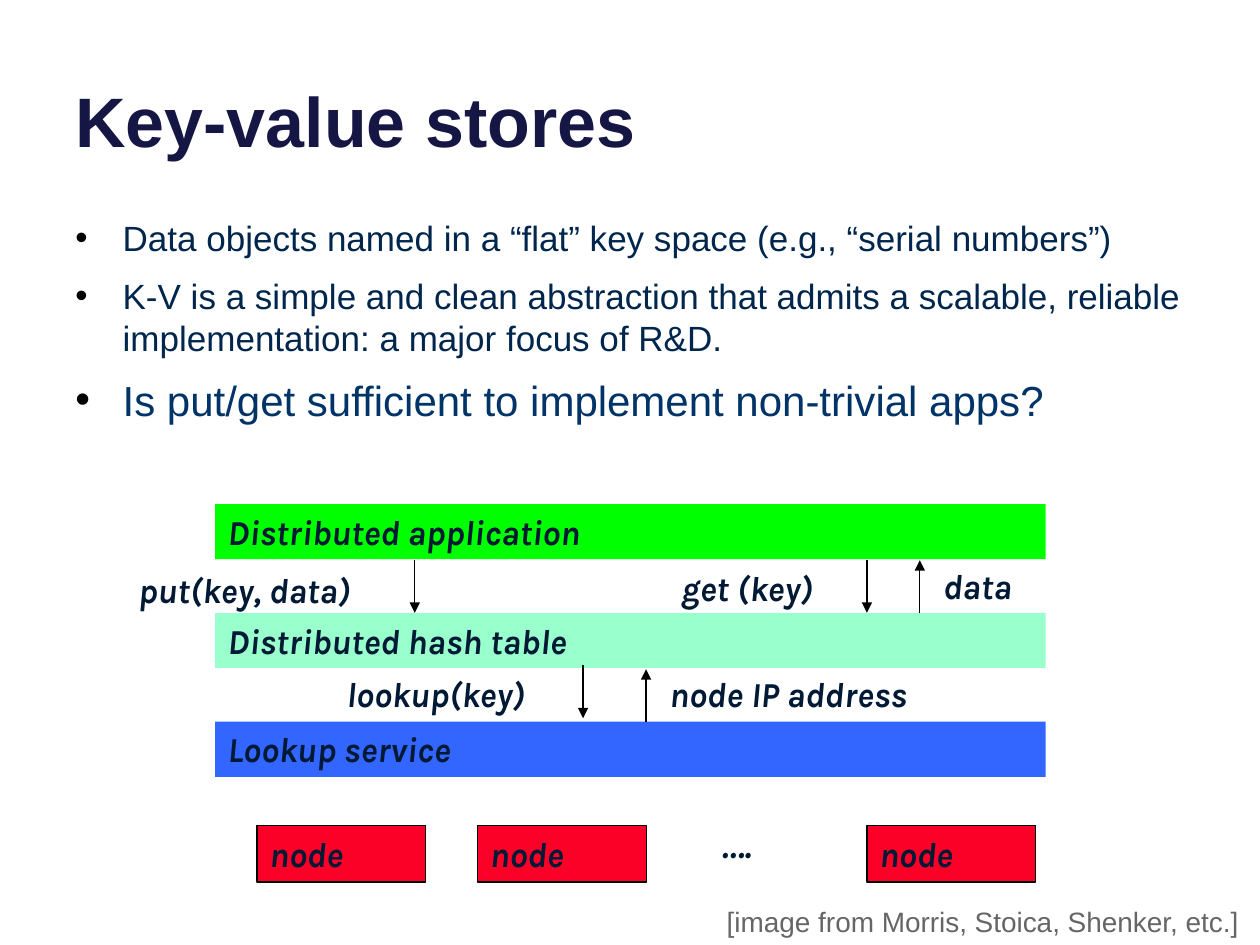
import pptx
import pptx.dml.color
import pptx.enum.shapes
import pptx.enum.text
import pptx.oxml
import pptx.oxml.ns
import pptx.util
from dataclasses import dataclass

Pt = pptx.util.Pt
RGB = pptx.dml.color.RGBColor.from_string
SHAPE = pptx.enum.shapes.MSO_SHAPE
ANCHOR = pptx.enum.text.MSO_ANCHOR
TOP, MIDDLE, BOTTOM = ANCHOR.TOP, ANCHOR.MIDDLE, ANCHOR.BOTTOM


@dataclass(frozen=True)
class Font:
    size: float
    color: str
    name: str = "Arial"
    bold: bool = False
    italic: bool = False


class Theme:
    title = Font(40, "161645", bold=True)
    body = Font(20, "00264D")
    question = Font(24, "003367")
    label = Font(20, "001934", "Karla", True, True)
    credit = Font(16, "666666")
    line = "000000"
    node = "FC0128"
    application, hash_table, lookup = "00FF00", "99FFCC", "3366FF"


def add_xml(parent, tag, **attrs):
    el = pptx.oxml.parse_xml(f"<{tag} {pptx.oxml.ns.nsdecls('a')}/>")
    for key, value in attrs.items():
        el.set(key, value)
    parent.append(el)
    return el


class Deck:
    def __init__(self, theme, width, height):
        self.theme = theme
        self.prs = pptx.Presentation()
        self.prs.slide_width, self.prs.slide_height = Pt(width), Pt(height)
        self.s = self.prs.slides.add_slide(self.prs.slide_layouts[6])

    def run(self, p, text, font):
        r = p.add_run()
        r.text = text
        r.font.name, r.font.size = font.name, Pt(font.size)
        r.font.bold, r.font.italic = font.bold, font.italic
        r.font.color.rgb = RGB(font.color)

    def frame(self, sp, anchor):
        tf = sp.text_frame
        tf.word_wrap = True
        tf.vertical_anchor = anchor
        tf.paragraphs[0].alignment = pptx.enum.text.PP_ALIGN.LEFT
        return tf

    def text(self, x, y, w, h, text, font, anchor=TOP):
        sp = self.s.shapes.add_textbox(Pt(x), Pt(y), Pt(w), Pt(h))
        self.run(self.frame(sp, anchor).paragraphs[0], text, font)

    def bullets(self, x, y, w, h, items, indent=27, gap=9):
        sp = self.s.shapes.add_textbox(Pt(x), Pt(y), Pt(w), Pt(h))
        tf = self.frame(sp, TOP)
        for i, (text, font) in enumerate(items):
            p = tf.add_paragraph() if i else tf.paragraphs[0]
            p.space_before = Pt(gap if i else 0)
            pPr = p._p.get_or_add_pPr()
            pPr.set("marL", str(Pt(indent)))
            pPr.set("indent", str(-Pt(indent)))
            add_xml(add_xml(pPr, "a:buClr"), "a:srgbClr", val=self.theme.line)
            add_xml(pPr, "a:buFont", typeface="Arial")
            add_xml(pPr, "a:buChar", char="•")
            self.run(p, text, font)

    def box(self, x, y, w, h, text, fill, outlined=False, anchor=TOP):
        sp = self.s.shapes.add_shape(SHAPE.RECTANGLE, Pt(x), Pt(y), Pt(w), Pt(h))
        sp.shadow.inherit = False
        sp.fill.solid()
        sp.fill.fore_color.rgb = RGB(fill)
        if outlined:
            sp.line.color.rgb = RGB(self.theme.line)
            sp.line.width = Pt(0.75)
        else:
            sp.line.fill.background()
        self.run(self.frame(sp, anchor).paragraphs[0], text, self.theme.label)

    def arrow(self, x, y_from, y_to):
        sp = self.s.shapes.add_connector(
            pptx.enum.shapes.MSO_CONNECTOR.STRAIGHT,
            Pt(x), Pt(y_from), Pt(x), Pt(y_to))
        sp.line.color.rgb = RGB(self.theme.line)
        sp.line.width = Pt(0.75)
        add_xml(sp.line._get_or_add_ln(), "a:tailEnd", type="triangle")
        add_xml(sp._element.spPr, "a:effectLst")


def main():
    t = Theme
    d = Deck(t, 720, 540)

    # Title and bullets
    d.text(36, -26.6, 648, 122.4, "Key-value stores", t.title, BOTTOM)
    d.bullets(36, 120.2, 648, 156.2, [
        ("Data objects named in a “flat” key space (e.g., “serial numbers”)", t.body),
        ("K-V is a simple and clean abstraction that admits a scalable, reliable "
         "implementation: a major focus of R&D.", t.body),
        ("Is put/get sufficient to implement non-trivial apps?", t.question),
    ])

    # Service layers
    layers = [("Distributed application", t.application),
              ("Distributed hash table", t.hash_table),
              ("Lookup service", t.lookup)]
    for i, (name, fill) in enumerate(layers):
        d.box(123, 288 + 62.2 * i, 474.5, 31.5, name, fill)

    # Calls and replies between the layers
    for x, y_from, y_to in [(237, 320.2, 350.2), (495.4, 320.2, 350.2),
                            (525.6, 350.2, 320.2), (333.2, 380.2, 410.4),
                            (369.2, 412.4, 382.4)]:
        d.arrow(x, y_from, y_to)
    for x, y, w, call in [(72, 321.2, 166.3, "put(key, data)"),
                          (382.3, 320.4, 113.8, "get (key)"),
                          (531.8, 319.2, 65.5, "data"),
                          (191, 381, 143.3, "lookup(key)"),
                          (375.5, 381, 184.3, "node IP address")]:
        d.text(x, y, w, 31.5, call, t.label)

    # Nodes
    for x in (146.9, 272.9, 495.4):
        d.box(x, 471.6, 96.5, 32.4, "node", t.node, outlined=True, anchor=MIDDLE)
    d.text(405.4, 466.6, 41, 31.5, "….", t.label, MIDDLE)

    # Credit
    d.text(408.2, 513.4, 311, 26.6, "[image from Morris, Stoica, Shenker, etc.]", t.credit)

    d.prs.save("out.pptx")


if __name__ == "__main__":
    main()
